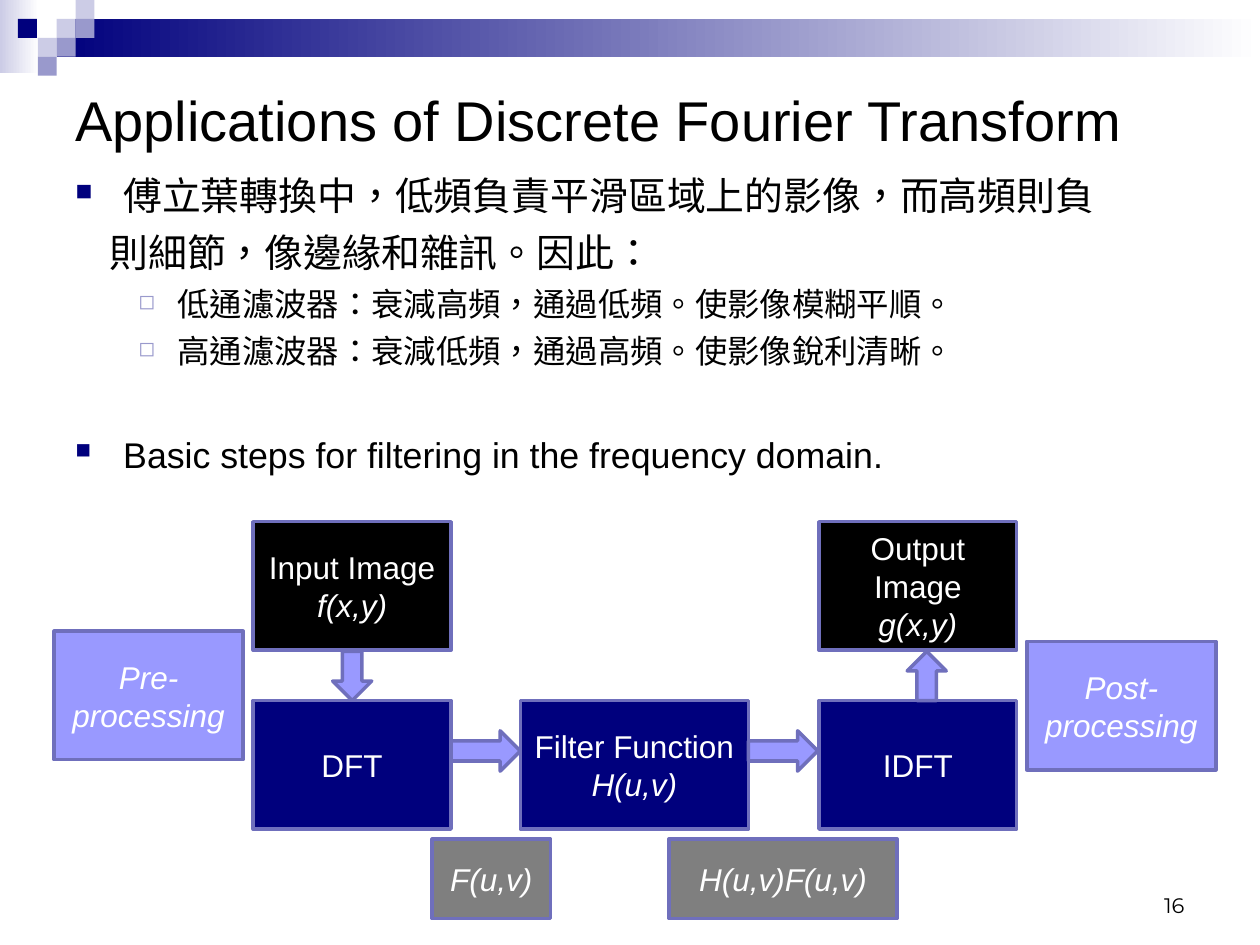
from dataclasses import dataclass

from lxml import etree
from pptx import Presentation
from pptx.dml.color import RGBColor
from pptx.enum.lang import MSO_LANGUAGE_ID
from pptx.enum.shapes import MSO_SHAPE
from pptx.enum.text import MSO_ANCHOR, PP_ALIGN
from pptx.oxml.ns import qn
from pptx.util import Inches, Pt

RECT = MSO_SHAPE.RECTANGLE
RIGHT, DOWN, UP = MSO_SHAPE.RIGHT_ARROW, MSO_SHAPE.DOWN_ARROW, MSO_SHAPE.UP_ARROW
TOP, MIDDLE, BOTTOM = MSO_ANCHOR.TOP, MSO_ANCHOR.MIDDLE, MSO_ANCHOR.BOTTOM
ALIGN_L, ALIGN_C, ALIGN_R = PP_ALIGN.LEFT, PP_ALIGN.CENTER, PP_ALIGN.RIGHT
ENGLISH, CHINESE = MSO_LANGUAGE_ID.ENGLISH_US, MSO_LANGUAGE_ID.TAIWANESE \
    if hasattr(MSO_LANGUAGE_ID, "TAIWANESE") else MSO_LANGUAGE_ID.TRADITIONAL_CHINESE


@dataclass(frozen=True)
class Theme:
    navy: str = "00007D"
    pale: str = "CCCCE6"
    lilac: str = "9999CC"
    violet: str = "9999FF"
    outline: str = "6F6FBC"
    gray: str = "7F7F7F"
    black: str = "000000"
    white: str = "FFFFFF"
    font: str = "Arial"
    number_font: str = "Montserrat"
    title: float = 32
    lead: float = 22.2
    step: float = 20.4
    sub: float = 18.5
    box: float = 18
    number: float = 12


T = Theme()


def add_run(p, text, size, color, font=T.font, italic=False, lang=ENGLISH):
    r = p.add_run()
    r.text = text
    r.font.size = Pt(size)
    r.font.name = font
    r.font.color.rgb = RGBColor.from_string(color)
    r.font.italic = italic
    r.font.language_id = lang


def add_shape(s, kind, at, fill, outlined=True):
    sp = s.shapes.add_shape(kind, *map(Inches, at))
    sp.shadow.inherit = False
    if isinstance(fill, tuple):
        sp.fill.gradient()
        sp.fill.gradient_angle = 0
        for stop, color in zip(sp.fill.gradient_stops, fill):
            stop.color.rgb = RGBColor.from_string(color)
    else:
        sp.fill.solid()
        sp.fill.fore_color.rgb = RGBColor.from_string(fill)
    if outlined:
        sp.line.color.rgb = RGBColor.from_string(T.outline)
        sp.line.width = Pt(2)
    else:
        sp.line.fill.background()
    return sp


def add_box(s, at, fill, label, formula):
    """Outlined box with a plain label followed by italic text."""
    tf = add_shape(s, RECT, at, fill).text_frame
    tf.word_wrap = True
    tf.vertical_anchor = MIDDLE
    p = tf.paragraphs[0]
    p.alignment = ALIGN_C
    if label:
        add_run(p, label, T.box, T.white)
    if formula:
        add_run(p, formula, T.box, T.white, italic=True)


def add_text_frame(s, at, anchor=TOP):
    tf = s.shapes.add_textbox(*map(Inches, at)).text_frame
    tf.word_wrap = True
    tf.vertical_anchor = anchor
    return tf


def add_line(s, at, text, size, anchor, align, font=T.font):
    p = add_text_frame(s, at, anchor).paragraphs[0]
    p.alignment = align
    add_run(p, text, size, T.black, font)


def set_bullet(p, left, hang, bullet):
    pPr = p._p.get_or_add_pPr()
    pPr.set("marL", str(Inches(left)))
    pPr.set("indent", str(Inches(-hang)))
    if bullet:
        char, color, percent = bullet
        clr = etree.SubElement(pPr, qn("a:buClr"))
        etree.SubElement(clr, qn("a:srgbClr"), val=color)
        etree.SubElement(pPr, qn("a:buSzPct"), val=str(percent * 1000))
        etree.SubElement(pPr, qn("a:buChar"), char=char)


def add_corner_art(s):
    add_shape(s, RECT, (0, 0, 0.31, 0.58), (T.pale, T.white), False)
    add_shape(s, RECT, (0.45, 0.15, 9.55, 0.3), (T.navy, T.white), False)
    side = 0.15
    squares = [(3, 1, T.pale), (4, 0, T.pale), (4, 1, T.lilac), (2, 2, T.pale),
               (0.95, 1, T.navy), (3, 2, T.lilac), (2, 3, T.lilac)]
    for col, row, color in squares:
        add_shape(s, RECT, (col * side, row * side, side, side), color, False)


def add_body(s):
    tf = add_text_frame(s, (0.5, 1.31, 9, 2.6))
    main_bullet, sub_bullet = ("■", T.navy, 60), ("◻", T.lilac, 64)
    # text, size, left indent, hanging, space before, bullet, language
    lines = [
        ("傅立葉轉換中，低頻負責平滑區域上的影像，而高頻則負",
         T.lead, 0.38, 0.38, 0, main_bullet, CHINESE),
        ("則細節，像邊緣和雜訊。因此：", T.lead, 0.27, 0, 6, None, CHINESE),
        ("低通濾波器：衰減高頻，通過低頻。使影像模糊平順。",
         T.sub, 0.81, 0.31, 5, sub_bullet, CHINESE),
        ("高通濾波器：衰減低頻，通過高頻。使影像銳利清晰。",
         T.sub, 0.81, 0.31, 5, sub_bullet, CHINESE),
        ("Basic steps for filtering in the frequency domain.",
         T.step, 0.38, 0.38, 35.5, main_bullet, ENGLISH),
    ]
    for i, (text, size, left, hang, before, bullet, lang) in enumerate(lines):
        p = tf.add_paragraph() if i else tf.paragraphs[0]
        set_bullet(p, left, hang, bullet)
        p.level = 1 if bullet == sub_bullet else 0
        p.space_before = Pt(before)
        add_run(p, text, size, T.black, lang=lang)


def add_flow(s):
    dft_x, filter_x, idft_x = 2.01, 4.13, 6.5
    image_y, step_y, note_y = 4.14, 5.56, 6.66
    w, wide, h, note_h = 1.57, 1.81, 1.02, 0.63

    # Transform steps and the arrows between them
    add_box(s, (dft_x, step_y, w, h), T.navy, "DFT", "")
    add_box(s, (filter_x, step_y, wide, h), T.navy, "Filter Function ", "H(u,v)")
    add_box(s, (idft_x, step_y, w, h), T.navy, "IDFT", "")
    for x in (dft_x + w, filter_x + wide):
        add_shape(s, RIGHT, (x, 5.8, 0.55, 0.32), T.violet)

    # Input and output images
    add_box(s, (dft_x, image_y, w, h), T.black, "Input Image ", "f(x,y)")
    add_box(s, (idft_x, image_y, w, h), T.black, "Output Image ", "g(x,y)")

    # Spectra between the steps
    add_box(s, (3.43, note_y, 0.94, note_h), T.gray, "", "F(u,v)")
    add_box(s, (5.31, note_y, wide, note_h), T.gray, "", "H(u,v)F(u,v)")

    # Arrows between images and steps
    for kind, x in ((DOWN, 2.64), (UP, 7.2)):
        add_shape(s, kind, (x, 5.17, 0.31, 0.39), T.violet)

    # Processing at either end
    add_box(s, (0.43, 5.01, 1.5, h), T.violet, "", "Pre-processing")
    add_box(s, (8.15, 5.09, 1.5, h), T.violet, "", "Post-processing")


def main():
    prs = Presentation()
    prs.slide_width, prs.slide_height = Inches(10), Inches(7.5)
    s = prs.slides.add_slide(prs.slide_layouts[6])
    add_corner_art(s)
    add_body(s)
    add_line(s, (7.17, 6.83, 2.33, 0.5), "16", T.number, BOTTOM, ALIGN_R, T.number_font)
    add_flow(s)
    add_line(s, (0.5, 0.5, 9, 0.89), "Applications of Discrete Fourier Transform",
             T.title, MIDDLE, ALIGN_L)
    prs.save("out.pptx")


if __name__ == "__main__":
    main()
